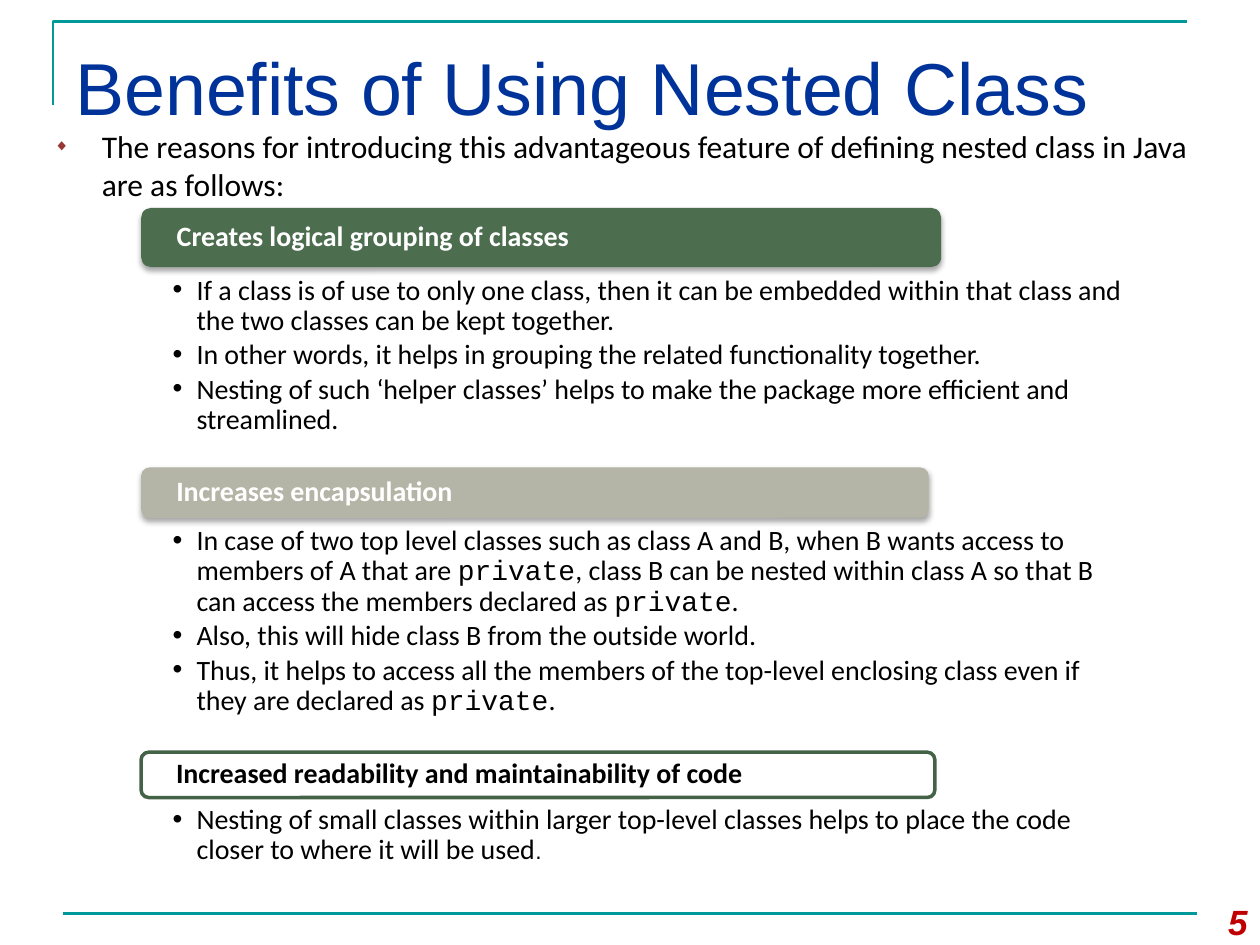
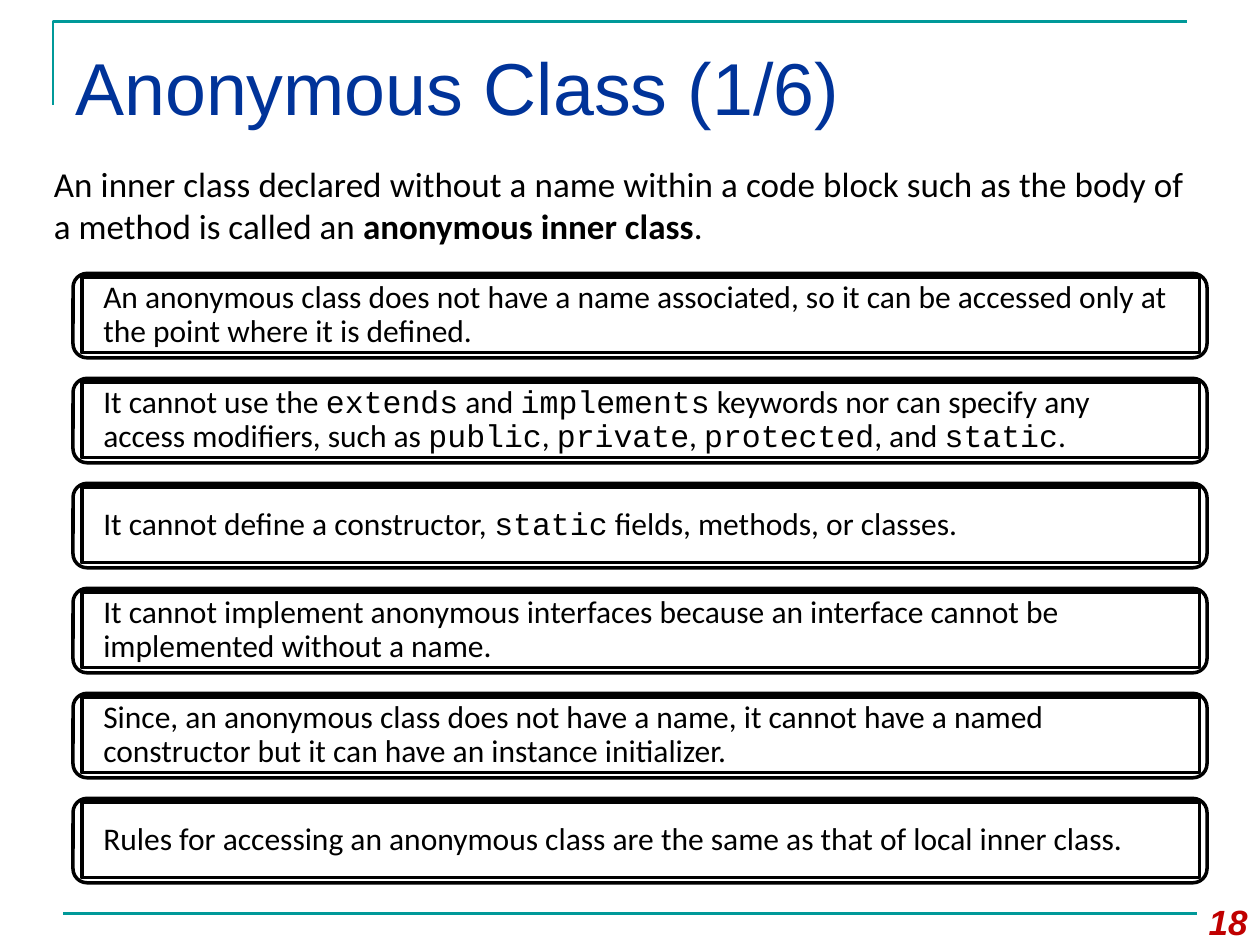
from dataclasses import dataclass

import lxml.etree
import pptx
import pptx.dml.color
import pptx.enum.shapes
import pptx.enum.text
import pptx.oxml.ns
import pptx.util

Inches = pptx.util.Inches
Pt = pptx.util.Pt
KIND = pptx.enum.shapes.MSO_SHAPE
ALIGN = pptx.enum.text.PP_ALIGN
ANCHOR = pptx.enum.text.MSO_ANCHOR


@dataclass(frozen=True)
class Theme:
    white: str = "FFFFFF"
    black: str = "000000"
    teal: str = "009999"
    navy: str = "003399"
    red: str = "C00000"
    rust: str = "973735"
    green: str = "4C6D4E"
    grey: str = "B5B5A7"
    moss: str = "446246"
    head: str = "Arial"
    body: str = "Calibri"
    code: str = "Courier New"
    title: int = 42
    lead: int = 20
    text: int = 18
    small: int = 16
    dot: int = 13


T = Theme()
CODE = {"font": T.code}

# Backticks enclose the words that take a different style.
GROUPS = [
    # bar top, width, height, fill, line, ink, heading, body top, height, points
    (1.65, 6.35, 0.47, T.green, None, T.white,
     "Creates logical grouping of classes", 1.94, 1.71,
     ["If a class is of use to only one class, then it can be embedded within "
      "that class and the two classes can be kept together.",
      "In other words, it helps in grouping the related functionality together.",
      "Nesting of such ‘helper classes’ helps to make the package more "
      "efficient and streamlined."], CODE),
    (3.71, 6.25, 0.4, T.grey, None, T.white,
     "Increases encapsulation", 3.93, 1.97,
     ["In case of two top level classes such as class A and B, when B wants "
      "access to members of A that are `private`, class B can be nested within "
      "class A so that B can access the members declared as `private`.",
      "Also, this will hide class B from the outside world.",
      "Thus, it helps to access all the members of the top-level enclosing "
      "class even if they are declared as `private`."], CODE),
    (5.97, 6.3, 0.36, T.white, T.moss, T.black,
     "Increased readability and maintainability of code", 6.14, 0.87,
     ["Nesting of small classes within larger top-level classes helps to place "
      "the code closer to where it will be used`.`"],
     {"font": T.head, "size": T.dot}),
]

RULES = [
    "An anonymous class does not have a name associated, so it can be accessed "
    "only at the point where it is defined.",
    "It cannot use the `extends` and `implements` keywords nor can specify any "
    "access modifiers, such as `public`, `private`, `protected`, and `static`.",
    "It cannot define a constructor, `static` fields, methods, or classes.",
    "It cannot implement anonymous interfaces because an interface cannot be "
    "implemented without a name.",
    "Since, an anonymous class does not have a name, it cannot have a named "
    "constructor but it can have an instance initializer.",
    "Rules for accessing an anonymous class are the same as that of local "
    "inner class.",
]


def rgb(code):
    return pptx.dml.color.RGBColor.from_string(code)


def add_tag(parent, tag, **attrs):
    node = lxml.etree.SubElement(parent, pptx.oxml.ns.qn(tag))
    for key, value in attrs.items():
        node.set(key, str(value))
    return node


def style(run, size, font=T.body, color=T.black, bold=False, italic=False):
    run.font.size = Pt(size)
    run.font.name = font
    run.font.color.rgb = rgb(color)
    run.font.bold = bold
    run.font.italic = italic


def write(shape, lines, mark=None, inset=(0.1, 0.05), anchor=ANCHOR.TOP,
          align=ALIGN.LEFT, space=None, after=0, **look):
    """Fill a shape with paragraphs; backticked parts take the mark style."""
    frame = shape.text_frame
    frame.word_wrap = True
    frame.vertical_anchor = anchor
    frame.margin_left = frame.margin_right = Inches(inset[0])
    frame.margin_top = frame.margin_bottom = Inches(inset[1])
    frame.text = "\n".join("" for _ in lines)
    for para, line in zip(frame.paragraphs, lines):
        para.alignment = align
        para.space_after = Pt(after)
        if space:
            para.line_spacing = space
        for i, part in enumerate(line.split("`")):
            if part:
                run = para.add_run()
                run.text = part
                style(run, **{**look, **(mark or {} if i % 2 else {})})


def add_bullet(para, char, indent, color=None, scale=100):
    props = para._p.get_or_add_pPr()
    props.set("marL", str(Inches(indent)))
    props.set("indent", str(-Inches(indent)))
    if color:
        add_tag(add_tag(props, "a:buClr"), "a:srgbClr", val=color)
    add_tag(props, "a:buSzPct", val=scale * 1000)
    add_tag(props, "a:buFont", typeface=T.head)
    add_tag(props, "a:buChar", char=char)


def add_label(slide, box, lines, **look):
    shape = slide.shapes.add_textbox(*map(Inches, box))
    write(shape, lines, **look)
    return shape


def add_box(slide, kind, box, fill, line=None):
    shape = slide.shapes.add_shape(kind, *map(Inches, box))
    shape.shadow.inherit = False
    shape.fill.solid()
    shape.fill.fore_color.rgb = rgb(fill)
    if line:
        shape.line.color.rgb = rgb(line)
        shape.line.width = Pt(2)
    else:
        shape.line.fill.background()
    return shape


def add_shadow(shape):
    effects = shape._element.spPr.find(pptx.oxml.ns.qn("a:effectLst"))
    outer = add_tag(effects, "a:outerShdw", blurRad=Pt(3.1), dist=Pt(1.8),
                    dir=5400000, rotWithShape=0)
    add_tag(add_tag(outer, "a:srgbClr", val=T.black), "a:alpha", val=35000)


def add_frame(slide):
    """Draw the corner rule at the top and the line at the foot."""
    pen = slide.shapes.build_freeform(Inches(0.42), Inches(0.83))
    pen.add_line_segments([(Inches(0.42), Inches(0.17)),
                           (Inches(9.42), Inches(0.17))], close=False)
    corner = pen.convert_to_shape()
    corner.shadow.inherit = False
    corner.fill.background()
    foot = slide.shapes.add_connector(
        pptx.enum.shapes.MSO_CONNECTOR.STRAIGHT,
        Inches(0.5), Inches(7.25), Inches(9.5), Inches(7.25))
    for rule in (corner, foot):
        rule.line.color.rgb = rgb(T.teal)
        rule.line.width = Pt(1.5)
    add_tag(foot._element.spPr, "a:effectLst")


def add_page(deck, title, number):
    slide = deck.slides.add_slide(deck.slide_layouts[6])
    add_frame(slide)
    add_label(slide, (0.5, 0.25, 9, 0.86), [title], anchor=ANCHOR.MIDDLE,
              size=T.title, font=T.head, color=T.navy)
    add_label(slide, (9.33, 7.1, 0.67, 0.4), [str(number)], align=ALIGN.RIGHT,
              size=T.lead, font=T.head, color=T.red, bold=True, italic=True)
    return slide


def add_group(slide, top, width, height, fill, line, ink, heading,
              below, depth, points, mark):
    """Place a heading bar over its panel of bullet points."""
    panel = add_box(slide, KIND.RECTANGLE, (0.67, below, 9, depth), T.white)
    tint = panel._element.spPr.find(".//" + pptx.oxml.ns.qn("a:srgbClr"))
    add_tag(tint, "a:alpha", val=90000)
    write(panel, points, mark, inset=(0.7, 0.25), space=0.9, after=2.4,
          size=T.small)
    for para in panel.text_frame.paragraphs:
        add_bullet(para, "•", 0.19)
    bar = add_box(slide, KIND.ROUNDED_RECTANGLE, (1.12, top, width, height),
                  fill, line)
    if not line:
        add_shadow(bar)
    write(bar, [heading], inset=(0.26, 0), anchor=ANCHOR.MIDDLE, space=0.9,
          size=T.small, color=ink, bold=True)


def add_rule(slide, top, text):
    """Place one statement in a double frame."""
    add_box(slide, KIND.ROUNDED_RECTANGLE, (0.58, top, 9, 0.67),
            T.white, T.black)
    inner = add_box(slide, KIND.RECTANGLE, (0.65, top + 0.03, 8.87, 0.6),
                    T.white, T.black)
    write(inner, [text], CODE, inset=(0.17, 0.02), anchor=ANCHOR.MIDDLE,
          space=0.9, size=T.text)


def add_benefits(deck):
    slide = add_page(deck, "Benefits of Using Nested Class", 5)
    intro = add_label(
        slide, (0.33, 0.96, 9.42, 0.71),
        ["The reasons for introducing this advantageous feature of defining "
         "nested class in Java are as follows:"], size=T.text)
    add_bullet(intro.text_frame.paragraphs[0], "◆", 0.38, T.rust, 50)
    for group in GROUPS:
        add_group(slide, *group)


def add_anonymous(deck):
    slide = add_page(deck, "Anonymous Class (1/6)", 18)
    for i, text in enumerate(RULES):
        add_rule(slide, 2.17 + i * 2.5 / 3, text)
    add_label(
        slide, (0.33, 1.24, 9.17, 0.77),
        ["An inner class declared without a name within a code block such as "
         "the body of a method is called an `anonymous inner class`."],
        mark={"bold": True}, align=ALIGN.JUSTIFY, size=T.lead)


def main():
    deck = pptx.Presentation()
    deck.slide_width = Inches(10)
    deck.slide_height = Inches(7.5)
    add_benefits(deck)
    add_anonymous(deck)
    deck.save("out.pptx")


if __name__ == "__main__":
    main()
